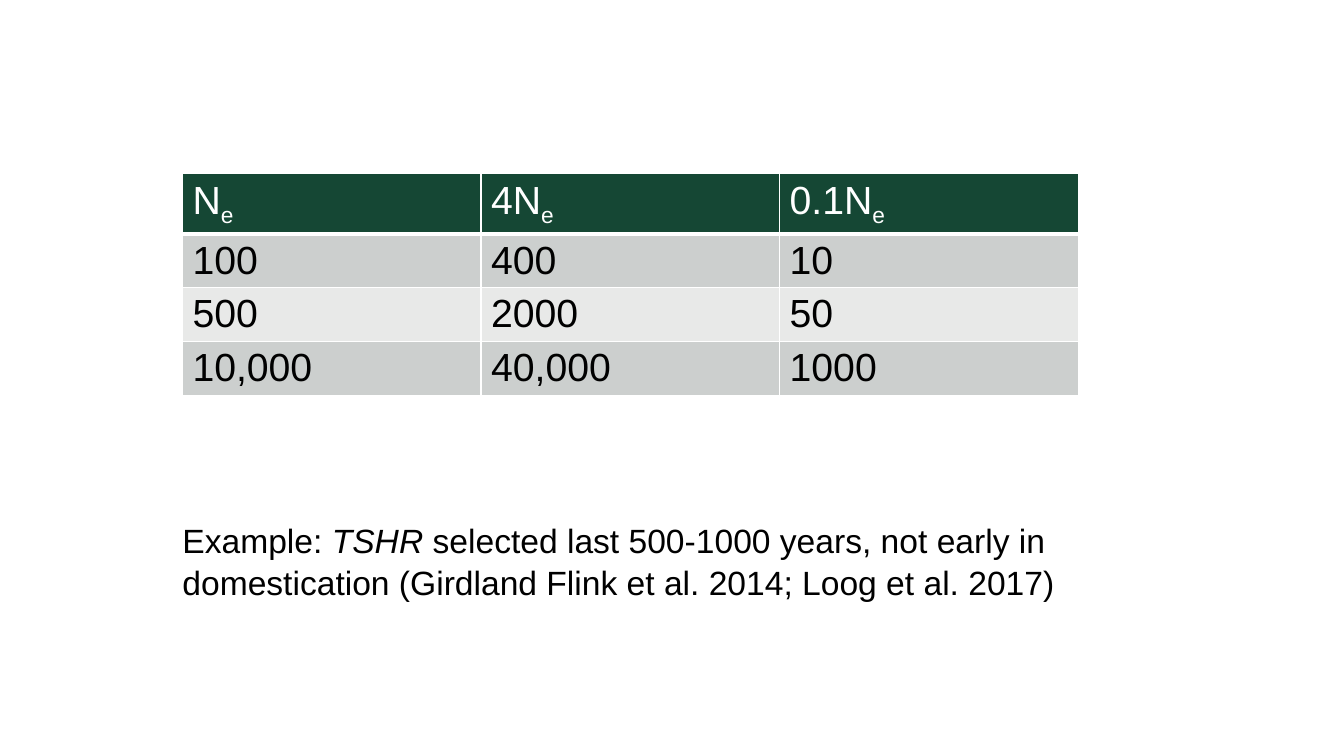
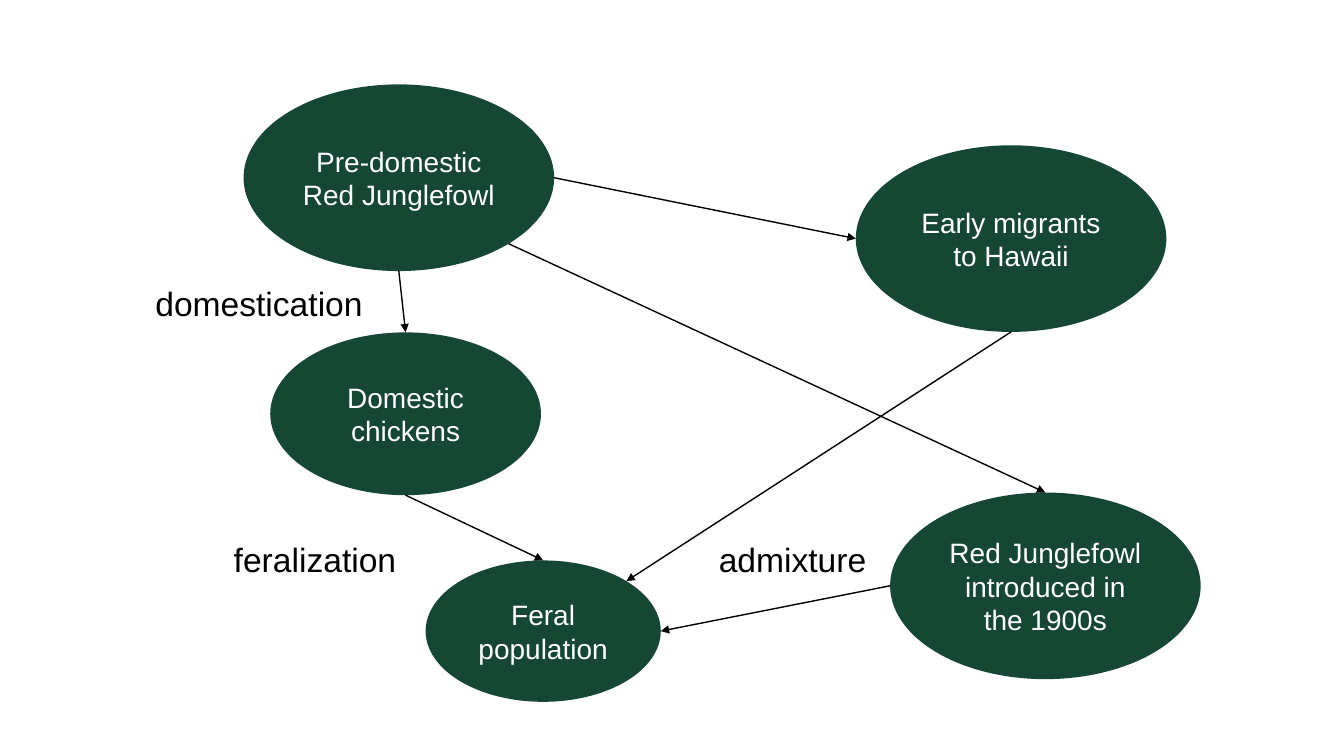
from lxml import etree
from pptx import Presentation
from pptx.dml.color import RGBColor
from pptx.enum.shapes import MSO_CONNECTOR, MSO_SHAPE
from pptx.enum.text import MSO_ANCHOR, PP_ALIGN
from pptx.oxml.ns import qn
from pptx.util import Pt

ELLIPSE = MSO_SHAPE.OVAL
STRAIGHT = MSO_CONNECTOR.STRAIGHT
MIDDLE = MSO_ANCHOR.MIDDLE
CENTER = PP_ALIGN.CENTER

FONT = "Arial"
COLORS = {
    "green": "154734",
    "white": "FFFFFF",
    "black": "000000",
    "band_dark": "CCCFCE",
    "band_light": "E8E9E8",
}
DIAGONAL = 0.3536
ELLIPSE_SITES = {
    "top": (0, 0.5, 0),
    "left": (2, 0, 0.5),
    "bottom": (4, 0.5, 1),
    "bottom_right": (5, 0.5 + DIAGONAL, 0.5 + DIAGONAL),
    "right": (6, 1, 0.5),
    "top_right": (7, 0.5 + DIAGONAL, 0.5 - DIAGONAL),
}


def color(name):
    return RGBColor.from_string(COLORS[name])


def add_run(paragraph, text, size=24, fill="black", italic=False, subscript=False):
    run = paragraph.add_run()
    run.text = text
    font = run.font
    font.name, font.size, font.bold, font.italic = FONT, Pt(size), False, italic
    font.color.rgb = color(fill)
    if subscript:
        run._r.get_or_add_rPr().set("baseline", "-25000")


def add_text(slide, box, pieces):
    frame = slide.shapes.add_textbox(*map(Pt, box)).text_frame
    frame.margin_left = frame.margin_top = frame.margin_right = frame.margin_bottom = 0
    frame.word_wrap = True
    paragraph = frame.paragraphs[0]
    paragraph.line_spacing = Pt(30)
    for text, italic in pieces:
        add_run(paragraph, text, italic=italic)


def set_borders(cell, top, bottom):
    properties = cell._tc.get_or_add_tcPr()
    for tag, width in (("a:lnL", 1), ("a:lnR", 1), ("a:lnT", top), ("a:lnB", bottom)):
        line = etree.SubElement(properties, qn(tag), w=str(Pt(width)))
        fill = etree.SubElement(line, qn("a:solidFill"))
        etree.SubElement(fill, qn("a:srgbClr"), val=COLORS["white"])


def add_generation_table(slide, box, headers, rows):
    left, top, width, height = map(Pt, box)
    graphic_frame = slide.shapes.add_table(len(rows) + 1, len(headers), left, top, width, height)
    table = graphic_frame.table
    for row in table.rows:
        row.height = Pt(29.5)
    graphic_frame.height = height
    for row_index, values in enumerate([headers, *rows]):
        is_header = row_index == 0
        background = "green" if is_header else ("band_light", "band_dark")[row_index % 2]
        for column_index, value in enumerate(values):
            cell = table.cell(row_index, column_index)
            set_borders(cell, 3 if row_index == 1 else 1, 3 if is_header else 1)
            cell.fill.solid()
            cell.fill.fore_color.rgb = color(background)
            paragraph = cell.text_frame.paragraphs[0]
            text_color = "white" if is_header else "black"
            add_run(paragraph, value, size=28, fill=text_color)
            if is_header:
                add_run(paragraph, "e", size=28, fill=text_color, subscript=True)


def add_population(slide, box, text):
    shape = slide.shapes.add_shape(ELLIPSE, *map(Pt, box))
    shape.shadow.inherit = False
    shape.fill.solid()
    shape.fill.fore_color.rgb = color("green")
    shape.line.fill.background()
    frame = shape.text_frame
    frame.word_wrap = True
    frame.vertical_anchor = MIDDLE
    paragraph = frame.paragraphs[0]
    paragraph.alignment = CENTER
    add_run(paragraph, text, size=20, fill="white")
    return shape


def site_position(shape, site):
    _, across, down = ELLIPSE_SITES[site]
    return round(shape.left + across * shape.width), round(shape.top + down * shape.height)


def add_arrow(slide, source, source_site, target, target_site):
    connector = slide.shapes.add_connector(
        STRAIGHT, *site_position(source, source_site), *site_position(target, target_site)
    )
    connector.line.color.rgb = color("black")
    connector.line.width = Pt(1)
    etree.SubElement(connector.line._get_or_add_ln(), qn("a:tailEnd"), type="triangle")
    element = connector._element
    etree.SubElement(element.spPr, qn("a:effectLst"))
    links = element.find(f"{qn('p:nvCxnSpPr')}/{qn('p:cNvCxnSpPr')}")
    for tag, shape, site in (("a:stCxn", source, source_site), ("a:endCxn", target, target_site)):
        etree.SubElement(links, qn(tag), id=str(shape.shape_id), idx=str(ELLIPSE_SITES[site][0]))


def build_table_slide(slide):
    add_generation_table(
        slide,
        (130.3, 124, 639.9, 163.5),
        ["N", "4N", "0.1N"],
        [["100", "400", "10"], ["500", "2000", "50"], ["10,000", "40,000", "1000"]],
    )
    add_text(slide, (130.3, 370, 672, 68), [
        ("Example: ", False),
        ("TSHR", True),
        (" selected last 500-1000 years, not early in domestication "
         "(Girdland Flink et al. 2014; Loog et al. 2017)", False),
    ])


def build_origin_slide(slide):
    large = (221.8, 133.3)
    ancestor = add_population(slide, (174, 60.3, *large), "Pre-domestic Red Junglefowl")
    domestic = add_population(slide, (193, 237.4, 193.4, 116.3), "Domestic chickens")
    feral = add_population(slide, (304, 400.3, 168, 101), "Feral population")
    introduced = add_population(
        slide, (635.8, 351.8, *large), "Red Junglefowl introduced in the 1900s"
    )
    migrants = add_population(slide, (611.3, 103.8, *large), "Early migrants to Hawaii")
    for source, source_site, target, target_site in (
        (ancestor, "bottom", domestic, "top"),
        (ancestor, "right", migrants, "left"),
        (migrants, "bottom", feral, "top_right"),
        (domestic, "bottom", feral, "top"),
        (ancestor, "bottom_right", introduced, "top"),
        (introduced, "left", feral, "right"),
    ):
        add_arrow(slide, source, source_site, target, target_site)
    for left, top, width, text in (
        (167, 384, 125, "feralization"),
        (111, 201, 155, "domestication"),
        (513.4, 384, 115, "admixture"),
    ):
        add_text(slide, (left, top, width, 30), [(text, False)])


def main():
    presentation = Presentation()
    presentation.slide_width, presentation.slide_height = Pt(960), Pt(540)
    for build in (build_table_slide, build_origin_slide):
        build(presentation.slides.add_slide(presentation.slide_layouts[6]))
    presentation.save("out.pptx")


if __name__ == "__main__":
    main()
